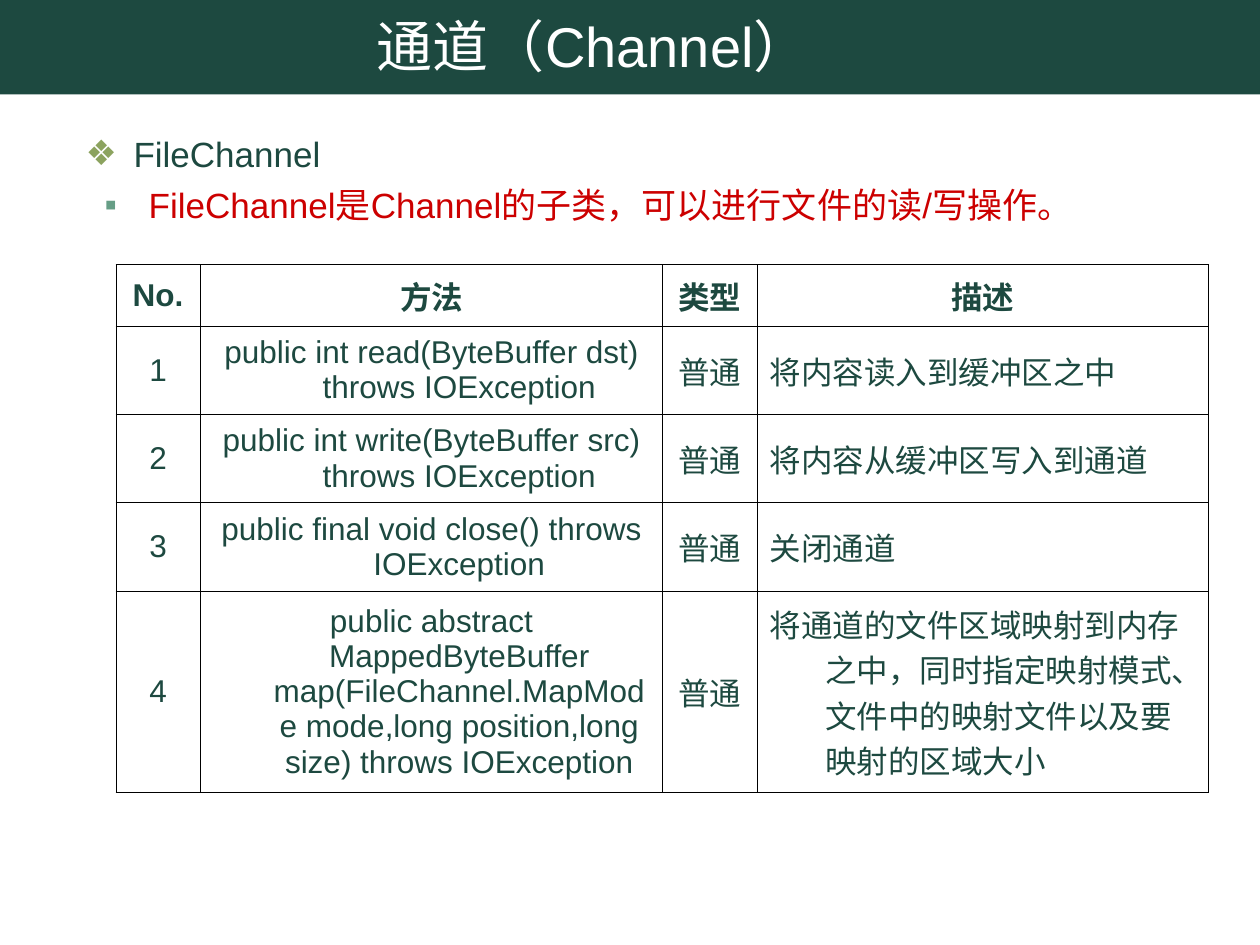
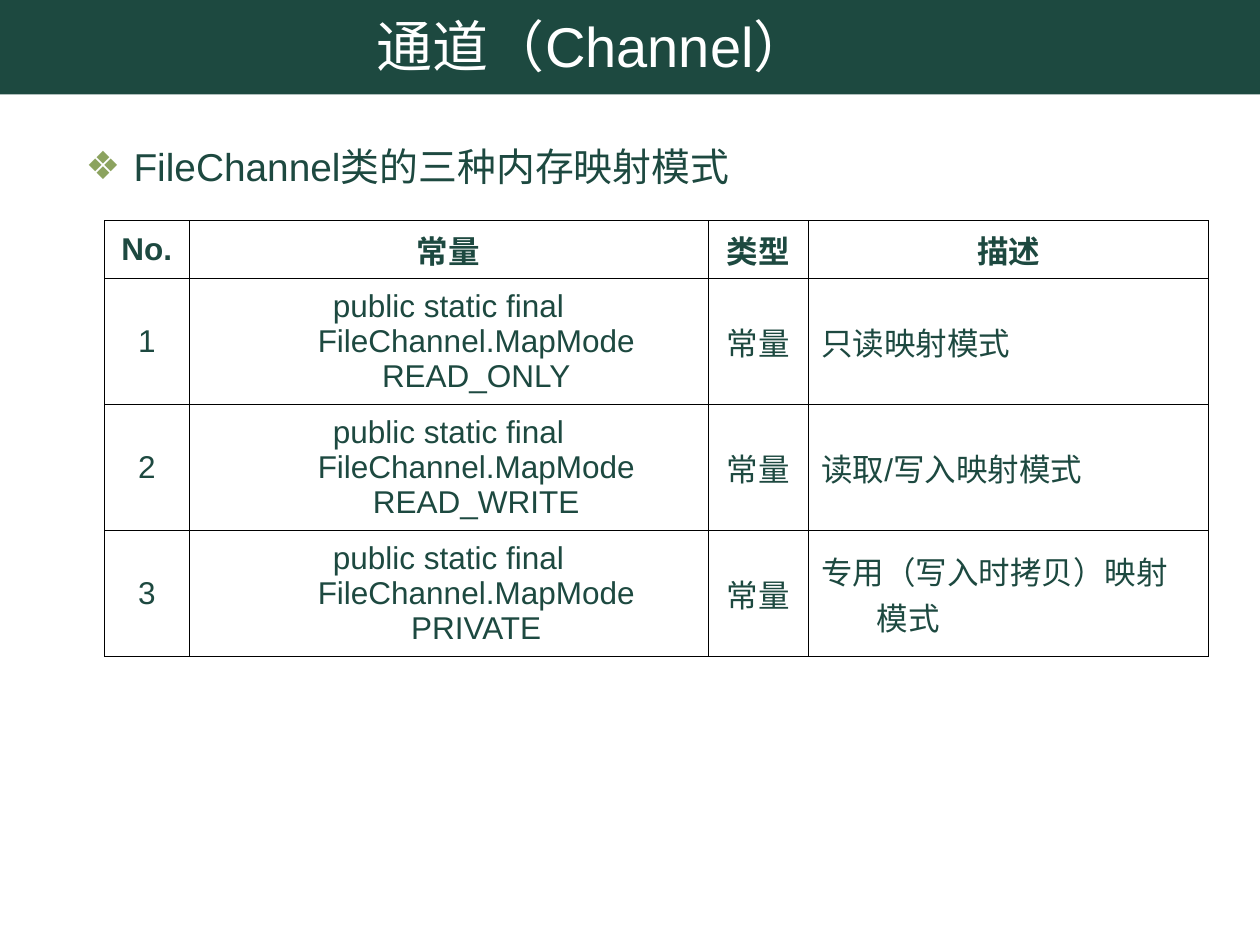
"""Build two slides about FileChannel, each with a bulleted list and a table."""
from lxml.etree import SubElement
from pptx import Presentation
from pptx.dml.color import RGBColor
from pptx.enum.shapes import MSO_SHAPE
from pptx.enum.text import MSO_ANCHOR, MSO_AUTO_SIZE, PP_ALIGN
from pptx.oxml.ns import qn
from pptx.util import Inches, Pt

DARK_GREEN = RGBColor(0x1D, 0x49, 0x40)
OLIVE = RGBColor(0x8C, 0xA3, 0x5F)
SAGE = RGBColor(0x66, 0x9E, 0x86)
RED = RGBColor(0xCC, 0x00, 0x00)
WHITE = RGBColor(0xFF, 0xFF, 0xFF)
BLACK = RGBColor(0x00, 0x00, 0x00)
FONT = "Arial"
TITLE = "通道（Channel）"
BULLETS = [("❖", OLIVE, 0.38, -0.38), ("▪", SAGE, 0.5, -0.35)]

SLIDES = [
    {
        "body_box": (0.58, 1, 8.83, 1.17),
        "body_size": 20,
        "space_before": 5,
        "points": [
            ("FileChannel", 0, DARK_GREEN),
            ("FileChannel是Channel的子类，可以进行文件的读/写操作。", 1, RED),
        ],
        "table_origin": (0.92, 2.1),
        "columns": [0.67, 3.67, 0.75, 3.58],
        "rows": [0.49, 0.7, 0.7, 0.7, 1.6],
        "header": "方法",
        "kind": "普通",
        "entries": [
            ("public int read(ByteBuffer dst) throws IOException", "将内容读入到缓冲区之中"),
            ("public int write(ByteBuffer src) throws IOException", "将内容从缓冲区写入到通道"),
            ("public final void close() throws IOException", "关闭通道"),
            (
                "public abstract MappedByteBuffer map(FileChannel.MapMode mode,"
                "long position,long size) throws IOException",
                "将通道的文件区域映射到内存之中，同时指定映射模式、文件中的映射文件以及要映射的区域大小",
            ),
        ],
    },
    {
        "body_box": (0.58, 1.08, 8.67, 0.5),
        "body_size": 22.2,
        "space_before": 6,
        "points": [("FileChannel类的三种内存映射模式", 0, DARK_GREEN)],
        "table_origin": (0.83, 1.75),
        "columns": [0.67, 4.12, 0.8, 3.17],
        "rows": [0.4, 1, 1, 1],
        "header": "常量",
        "kind": "常量",
        "entries": [
            ("public static final FileChannel.MapMode READ_ONLY", "只读映射模式"),
            ("public static final FileChannel.MapMode READ_WRITE", "读取/写入映射模式"),
            ("public static final FileChannel.MapMode PRIVATE", "专用（写入时拷贝）映射模式"),
        ],
    },
]


def write_text(paragraph, text, *, size, color=DARK_GREEN, bold=False,
               align=PP_ALIGN.LEFT, before=0, margin=0, indent=0):
    run = paragraph.add_run()
    run.text = text
    run.font.name = FONT
    run.font.size = Pt(size)
    run.font.bold = bold
    run.font.color.rgb = color
    paragraph.alignment = align
    paragraph.space_before = Pt(before)
    properties = paragraph._p.get_or_add_pPr()
    properties.set("marL", str(Inches(margin)))
    properties.set("indent", str(Inches(indent)))
    return properties


def add_borders(cell):
    properties = cell._tc.get_or_add_tcPr()
    for position, side in enumerate(("lnL", "lnR", "lnT", "lnB")):
        line = SubElement(properties, qn(f"a:{side}"), w=str(Pt(0.45)))
        fill = SubElement(line, qn("a:solidFill"))
        SubElement(fill, qn("a:srgbClr"), val=str(BLACK))
        properties.insert(position, line)


presentation = Presentation()
presentation.slide_width = Inches(10)
presentation.slide_height = Inches(7.5)
layout = presentation.slide_layouts[1]
slides = [presentation.slides.add_slide(layout) for _ in SLIDES]

band = slides[0].shapes.add_shape(
    MSO_SHAPE.RECTANGLE, Inches(-0.01), 0, Inches(10.01), Inches(0.75))
band.shadow.inherit = False
band.fill.solid()
band.fill.fore_color.rgb = DARK_GREEN
band.line.fill.background()
layout.shapes._spTree.insert(2, band._element)

for slide, content in zip(slides, SLIDES):
    title = slide.shapes.title
    body = slide.placeholders[1]
    boxes = [(title, (0.67, 0.05, 8.08, 0.62)), (body, content["body_box"])]
    for placeholder, box in boxes:
        placeholder.left, placeholder.top, placeholder.width, placeholder.height = map(Inches, box)
        placeholder.text_frame.auto_size = MSO_AUTO_SIZE.NONE
        placeholder.text_frame.word_wrap = True
    title.text_frame.vertical_anchor = MSO_ANCHOR.MIDDLE
    write_text(title.text_frame.paragraphs[0], TITLE, size=32, color=WHITE,
               align=PP_ALIGN.CENTER)

    for number, (text, level, color) in enumerate(content["points"]):
        frame = body.text_frame
        paragraph = frame.add_paragraph() if number else frame.paragraphs[0]
        paragraph.level = level
        character, bullet_color, margin, indent = BULLETS[level]
        properties = write_text(paragraph, text, size=content["body_size"], color=color,
                                before=content["space_before"], margin=margin, indent=indent)
        color_element = SubElement(properties, qn("a:buClr"))
        SubElement(color_element, qn("a:srgbClr"), val=str(bullet_color))
        SubElement(properties, qn("a:buFont"), typeface=FONT)
        SubElement(properties, qn("a:buChar"), char=character)

    left, top = content["table_origin"]
    columns, rows = content["columns"], content["rows"]
    table = slide.shapes.add_table(
        len(rows), len(columns), Inches(left), Inches(top),
        Inches(sum(columns)), Inches(sum(rows))).table
    table.horz_banding = False
    for column, width in zip(table.columns, columns):
        column.width = Inches(width)
    for row, height in zip(table.rows, rows):
        row.height = Inches(height)

    values = [("No.", content["header"], "类型", "描述")]
    for number, (signature, description) in enumerate(content["entries"], 1):
        values.append((str(number), signature, content["kind"], description))
    for row_index, row_values in enumerate(values):
        for column_index, text in enumerate(row_values):
            cell = table.cell(row_index, column_index)
            cell.vertical_anchor = MSO_ANCHOR.MIDDLE
            cell.fill.background()
            add_borders(cell)
            is_header = row_index == 0
            is_description = column_index == 3 and not is_header
            write_text(cell.text_frame.paragraphs[0], text, size=18, bold=is_header,
                       align=PP_ALIGN.LEFT if is_description else PP_ALIGN.CENTER,
                       before=4.5, margin=0.44, indent=-0.44)

presentation.save("out.pptx")
